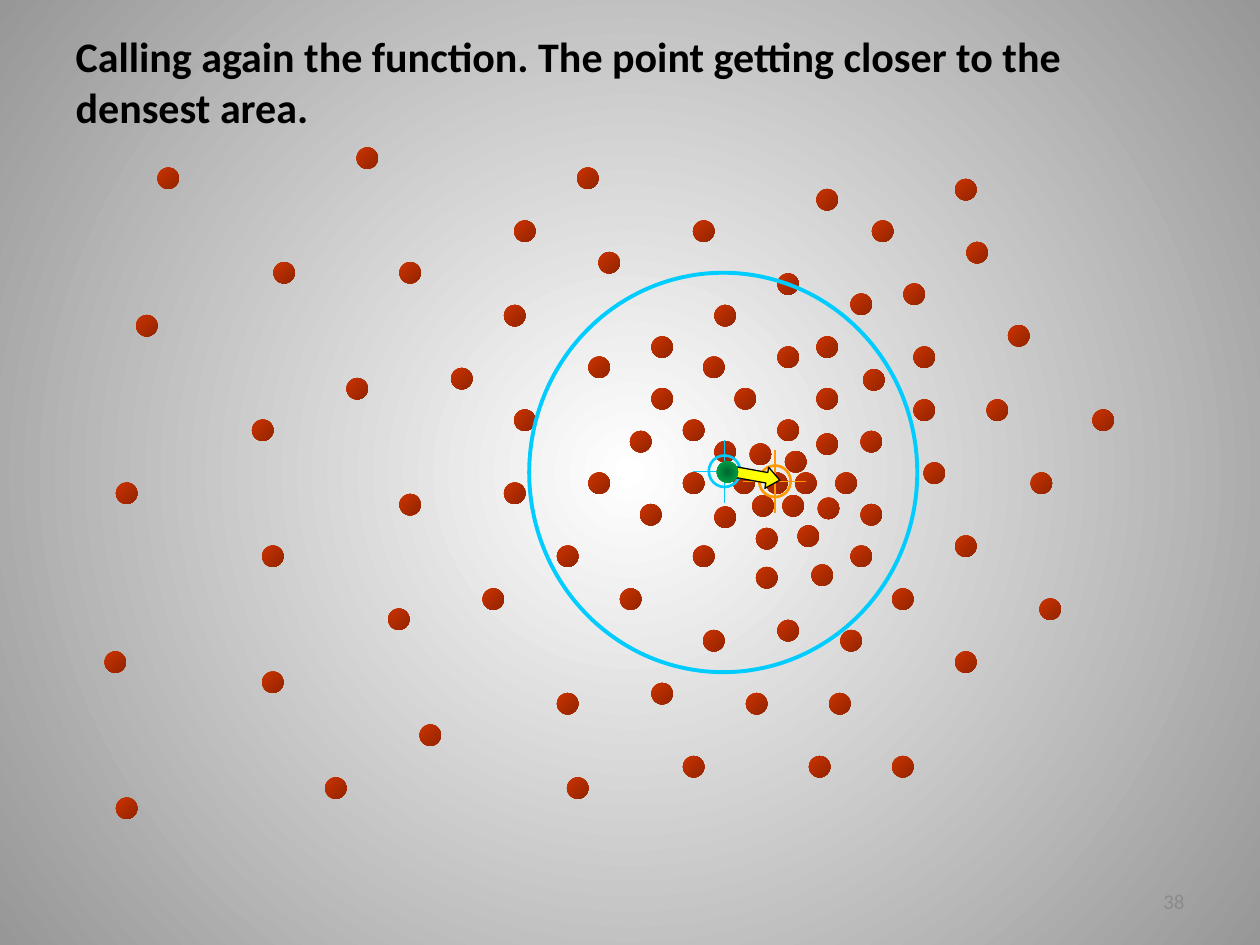
import pptx
import pptx.util
import pptx.dml.color
import pptx.enum.shapes
import pptx.enum.text
import pptx.oxml
import pptx.oxml.ns
from lxml import etree

COLOURS = {
    "white": "FFFFFF", "backdrop": "979797", "black": "000000", "number": "8B8B8B",
    "dot light": "CC3300", "dot dark": "922400",
    "window": "00CCFF", "mean": "FF9900", "arrow": "FFFF00",
    "point dark": "00682F", "point light": "00B050",
}
DOT = 0.17
# Left and top of every dot, in inches
DOTS = [
    (6.08, 3.75), (6.31, 3.75), (6.23, 3.58), (5.95, 3.52), (6.21, 3.93), (5.97, 3.93),
    (6.49, 3.95), (5.82, 3.75), (6.63, 3.75), (6.48, 3.44), (6.17, 3.33), (6.33, 4.17),
    (6, 4.19), (5.67, 4.02), (5.42, 3.75), (5.67, 3.5), (6.83, 4), (6.75, 4.33),
    (6.44, 4.48), (6, 4.5), (5.5, 4.33), (5.08, 4), (5, 3.42), (5.42, 3.33),
    (5.83, 3.08), (6.48, 3.08), (6.17, 2.75), (5.17, 3.08), (5.58, 2.83), (6.17, 2.17),
    (5.67, 2.42), (6.48, 2.67), (6.48, 1.5), (6.75, 2.33), (6.85, 2.93), (6.83, 3.42),
    (7.25, 3.17), (7.25, 2.75), (7.17, 2.25), (6.92, 1.75), (7.58, 1.42), (7.67, 1.92),
    (8, 2.58), (7.33, 3.67), (7.83, 3.17), (8.67, 3.25), (7.58, 4.25), (8.18, 3.75),
    (7.08, 4.67), (8.25, 4.75), (7.58, 5.17), (6.67, 5), (6.17, 4.92), (6.58, 5.5),
    (7.08, 6), (6.42, 6), (5.92, 5.5), (5.58, 5), (4.92, 4.67), (5.17, 5.42),
    (5.42, 6), (4.5, 6.17), (4.42, 5.5), (3.83, 4.67), (4.42, 4.33), (4.67, 3.75),
    (4.08, 3.25), (4.67, 2.83), (5.17, 2.67), (4.75, 2), (5.5, 1.75), (4.58, 1.33),
    (4.08, 1.75), (4, 2.42), (3.58, 2.92), (4, 3.83), (3.17, 3.92), (3.08, 4.83),
    (3.33, 5.75), (2.58, 6.17), (2.08, 5.33), (2.08, 4.33), (2.75, 3), (3.17, 2.08),
    (2.17, 2.08), (2, 3.33), (0.83, 5.17), (0.92, 6.33), (0.92, 3.83), (1.08, 2.5),
    (1.25, 1.33), (2.83, 1.17),
]


def colour(name):
    return pptx.dml.color.RGBColor.from_string(COLOURS[name])


def fill_gradient(owner, start, end, radial):
    """Fill a shape or background, either from its centre or diagonally."""
    owner.fill.gradient()
    for stop, name in zip(owner.fill.gradient_stops, (start, end)):
        stop.color.rgb = colour(name)
    if not radial:
        owner.fill.gradient_angle = 315
        return
    gradient = owner._element.xpath(".//a:gradFill")[0]
    gradient.remove(gradient.find(pptx.oxml.ns.qn("a:lin")))
    gradient.append(pptx.oxml.parse_xml(
        f'<a:path {pptx.oxml.ns.nsdecls("a")} path="circle">'
        '<a:fillToRect l="50000" t="50000" r="50000" b="50000"/></a:path>'))


Cm, Pt = pptx.util.Cm, pptx.util.Pt
SHAPE = pptx.enum.shapes.MSO_SHAPE
ALIGN = pptx.enum.text.PP_ALIGN
ANCHOR = pptx.enum.text.MSO_ANCHOR

deck = pptx.Presentation()
deck.slide_width, deck.slide_height = Cm(25.4), Cm(19.05)
page = deck.slides.add_slide(deck.slide_layouts[5])
fill_gradient(page.background, "white", "backdrop", radial=True)

# Data points
for left, top in DOTS:
    dot = page.shapes.add_shape(SHAPE.OVAL, *[Cm(2.54 * n) for n in (left, top, DOT, DOT)])
    dot.shadow.inherit = False
    dot.line.fill.background()
    fill_gradient(dot, "dot light", "dot dark", radial=False)

# Search window and new mean: rings around a crosshair
# Each ring is (centre x, centre y, width, height, line width), in inches and points
MARKERS = [
    ("window", 5.75, 3.74, [(5.74, 3.75, 3.08, 3.17, 2.25), (5.75, 3.74, 0.25, 0.25, 1.5)]),
    ("mean", 6.15, 3.82, [(6.15, 3.82, 0.25, 0.25, 1.5)]),
]
ARM = 0.25
for name, x, y, rings in MARKERS:
    group = page.shapes.add_group_shape()
    for ring_x, ring_y, width, height, weight in rings:
        bounds = (ring_x - width / 2, ring_y - height / 2, width, height)
        ring = group.shapes.add_shape(SHAPE.OVAL, *[Cm(2.54 * n) for n in bounds])
        ring.shadow.inherit = False
        ring.fill.background()
        ring.line.color.rgb = colour(name)
        ring.line.width = Pt(weight)
    for ends in ((x, y - ARM, x, y + ARM), (x - ARM, y, x + ARM, y)):
        hair = group.shapes.add_connector(
            pptx.enum.shapes.MSO_CONNECTOR.STRAIGHT, *[Cm(2.54 * n) for n in ends])
        hair.line.color.rgb = colour(name)
        hair.line.width = Pt(0.75)
        etree.SubElement(hair._element.spPr, pptx.oxml.ns.qn("a:effectLst"))

# Shift from the current point to the new mean
arrow = page.shapes.add_shape(SHAPE.RIGHT_ARROW, Cm(14.66), Cm(9.37), Cm(1.07), Cm(0.43))
arrow.rotation = 10.3
arrow.adjustments[0], arrow.adjustments[1] = 0.5, 0.62
arrow.shadow.inherit = False
arrow.fill.solid()
arrow.fill.fore_color.rgb = colour("arrow")
arrow.line.color.rgb = colour("black")
arrow.line.width = Pt(0.75)

point = page.shapes.add_shape(SHAPE.OVAL, Cm(14.45), Cm(9.3), Cm(0.43), Cm(0.43))
point.shadow.inherit = False
point.line.fill.background()
fill_gradient(point, "point dark", "point light", radial=True)

# Title and page number
title = page.shapes.title
title.left, title.top, title.width, title.height = Cm(1.27), Cm(0.13), Cm(22.86), Cm(3.02)
title.text_frame.text = ("Calling again the function. "
                         "The point getting closer to the densest area.")
number = page.shapes.add_textbox(Cm(18.2), Cm(17.66), Cm(5.93), Cm(1.01))
number.text_frame.text = "38"
for box, size, name, bold, align in (
        (title, 24, "black", True, ALIGN.LEFT), (number, 12, "number", False, ALIGN.RIGHT)):
    box.text_frame.word_wrap = True
    box.text_frame.vertical_anchor = ANCHOR.MIDDLE
    para = box.text_frame.paragraphs[0]
    para.alignment = align
    span = para.runs[0]
    span.font.name = "Calibri"
    span.font.size = Pt(size)
    span.font.bold = bold
    span.font.color.rgb = colour(name)

deck.save("out.pptx")
